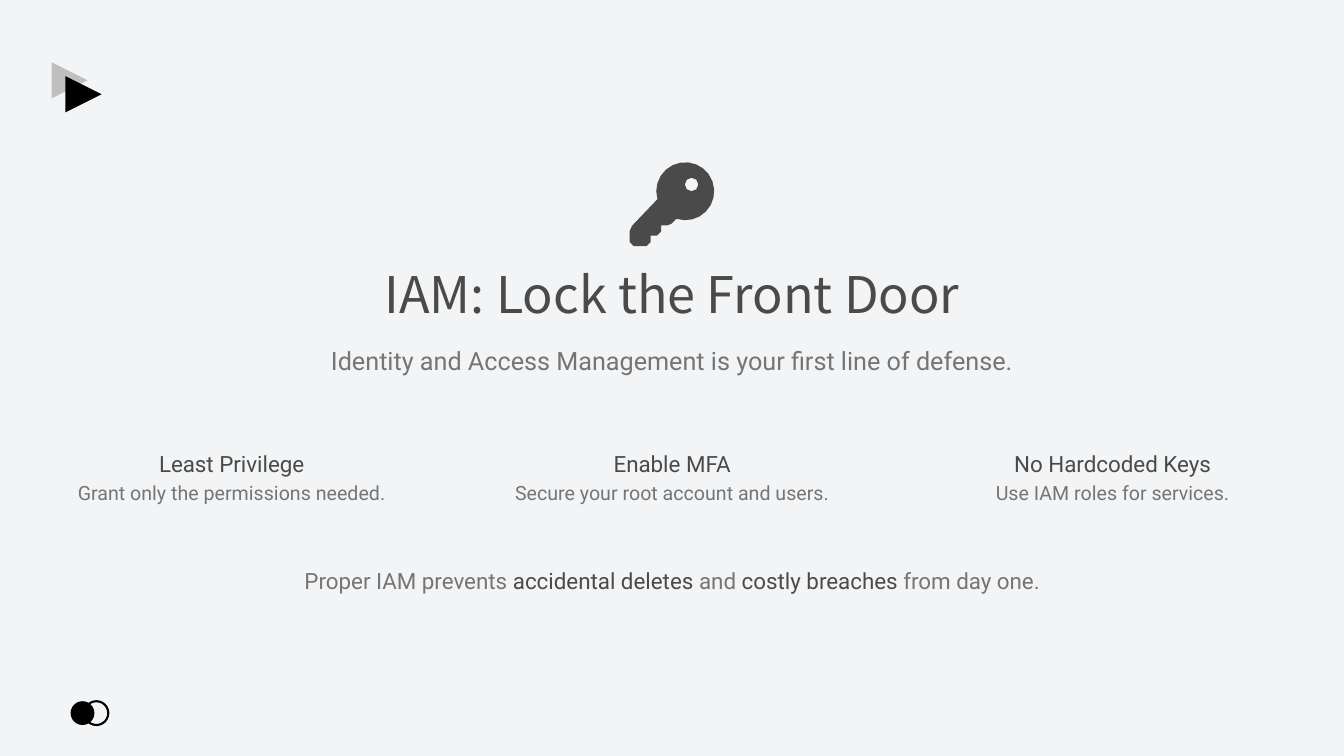
from dataclasses import dataclass
from math import cos, radians, sin

from pptx import Presentation
from pptx.dml.color import RGBColor
from pptx.enum.shapes import MSO_SHAPE
from pptx.enum.text import MSO_ANCHOR, PP_ALIGN
from pptx.util import Cm, Pt

PAPER = RGBColor(0xF3, 0xF4, 0xF6)
BLACK = RGBColor(0x00, 0x00, 0x00)
SILVER = RGBColor(0xBF, 0xBF, 0xBF)
DARK = RGBColor(0x4A, 0x4A, 0x4A)
GREY = RGBColor(0x75, 0x75, 0x75)
HEADING_FONT, BODY_FONT = "Noto Sans CJK SC", "Roboto"
PAGE_WIDTH, PAGE_HEIGHT = 33.87, 19.05


@dataclass
class Span:
    text: str
    color: RGBColor


@dataclass
class TextLine:
    left: float
    top: float
    width: float
    height: float
    size: int
    spacing: float
    spans: list[Span]
    font: str = BODY_FONT


@dataclass
class Mark:
    preset: MSO_SHAPE
    left: float
    top: float
    side: float
    fill: RGBColor | None
    rotation: int = 0


@dataclass
class Rule:
    title: str
    detail: str


def add_line(page, line: TextLine) -> None:
    box = page.shapes.add_textbox(Cm(line.left), Cm(line.top), Cm(line.width), Cm(line.height))
    frame = box.text_frame
    frame.word_wrap = True
    frame.vertical_anchor = MSO_ANCHOR.MIDDLE
    frame.margin_left = frame.margin_right = frame.margin_top = frame.margin_bottom = 0
    para = frame.paragraphs[0]
    para.alignment = PP_ALIGN.CENTER
    para.line_spacing = line.spacing
    for span in line.spans:
        run = para.add_run()
        run.text = span.text
        run.font.name = line.font
        run.font.size = Pt(line.size)
        run.font.color.rgb = span.color


def add_mark(page, mark: Mark) -> None:
    shape = page.shapes.add_shape(
        mark.preset, Cm(mark.left), Cm(mark.top), Cm(mark.side), Cm(mark.side))
    shape.shadow.inherit = False
    shape.rotation = mark.rotation
    if mark.preset == MSO_SHAPE.ROUNDED_RECTANGLE:
        shape.adjustments[0] = 0.5
    if mark.fill is None:
        shape.fill.background()
        shape.line.color.rgb = BLACK
        shape.line.width = Pt(1.5)
    else:
        shape.fill.solid()
        shape.fill.fore_color.rgb = mark.fill
        shape.line.fill.background()


def arc(x: float, y: float, radius: float, angles: range) -> list[tuple[float, float]]:
    """Points on a circle at the given angles in degrees."""
    return [(x + radius * cos(radians(angle)), y + radius * sin(radians(angle)))
            for angle in angles]


def add_key(page) -> None:
    bow = arc(17.27, 4.82, 0.73, range(108, -197, -16))
    blade = [
        (15.93, 5.69), (15.87, 5.82), (15.87, 6.1), (15.97, 6.2), (16.3, 6.2), (16.4, 6.1),
        (16.4, 5.94), (16.56, 5.94), (16.66, 5.84), (16.66, 5.68), (16.82, 5.68), (16.92, 5.64),
    ]
    hole = arc(17.43, 4.65, 0.17, range(0, 360, 45))
    outline, eye = ([(Cm(x), Cm(y)) for x, y in points] for points in (bow + blade, hole))
    builder = page.shapes.build_freeform(*outline[0])
    builder.add_line_segments(outline[1:], close=True)
    builder.move_to(*eye[0])
    builder.add_line_segments(eye[1:], close=True)
    key = builder.convert_to_shape()
    key.shadow.inherit = False
    key.fill.solid()
    key.fill.fore_color.rgb = DARK
    key.line.fill.background()


MARKS = [
    Mark(MSO_SHAPE.ROUNDED_RECTANGLE, 1.78, 17.67, 0.6, BLACK),
    Mark(MSO_SHAPE.ROUNDED_RECTANGLE, 2.13, 17.67, 0.6, None),
    Mark(MSO_SHAPE.ISOSCELES_TRIANGLE, 1.3, 1.57, 0.91, SILVER, 90),
    Mark(MSO_SHAPE.ISOSCELES_TRIANGLE, 1.65, 1.92, 0.91, BLACK, 90),
]

HEADINGS = [
    TextLine(0, 6.78, PAGE_WIDTH, 1.42, 36, 0.9,
             [Span("IAM: Lock the Front Door", DARK)], HEADING_FONT),
    TextLine(0, 8.47, PAGE_WIDTH, 0.99, 18, 1.3,
             [Span("Identity and Access Management is your first line of defense.", GREY)]),
]

RULES = [
    Rule("Least Privilege", "Grant only the permissions needed."),
    Rule("Enable MFA", "Secure your root account and users."),
    Rule("No Hardcoded Keys", "Use IAM roles for services."),
]
COLUMN_LEFT, COLUMN_WIDTH, COLUMN_PITCH = 0.57, 10.54, 11.1

CLOSING = TextLine(0.71, 14.12, 32.46, 0.84, 16, 1.3, [
    Span("Proper IAM prevents ", GREY),
    Span("accidental deletes", DARK),
    Span(" and ", GREY),
    Span("costly breaches", DARK),
    Span(" from day one.", GREY),
])


def main() -> None:
    deck = Presentation()
    deck.slide_width, deck.slide_height = Cm(PAGE_WIDTH), Cm(PAGE_HEIGHT)
    page = deck.slides.add_slide(deck.slide_layouts[6])
    page.background.fill.solid()
    page.background.fill.fore_color.rgb = PAPER

    # Corner marks and key icon
    for mark in MARKS:
        add_mark(page, mark)
    add_key(page)

    # Title and subtitle
    for heading in HEADINGS:
        add_line(page, heading)

    # Three rules side by side
    for index, rule in enumerate(RULES):
        left = COLUMN_LEFT + index * COLUMN_PITCH
        add_line(page, TextLine(left, 11.15, COLUMN_WIDTH, 0.84, 16, 1.3, [Span(rule.title, DARK)]))
        add_line(page, TextLine(left, 11.99, COLUMN_WIDTH, 0.71, 14, 1.2, [Span(rule.detail, GREY)]))

    # Closing sentence
    add_line(page, CLOSING)
    deck.save("out.pptx")


if __name__ == "__main__":
    main()
